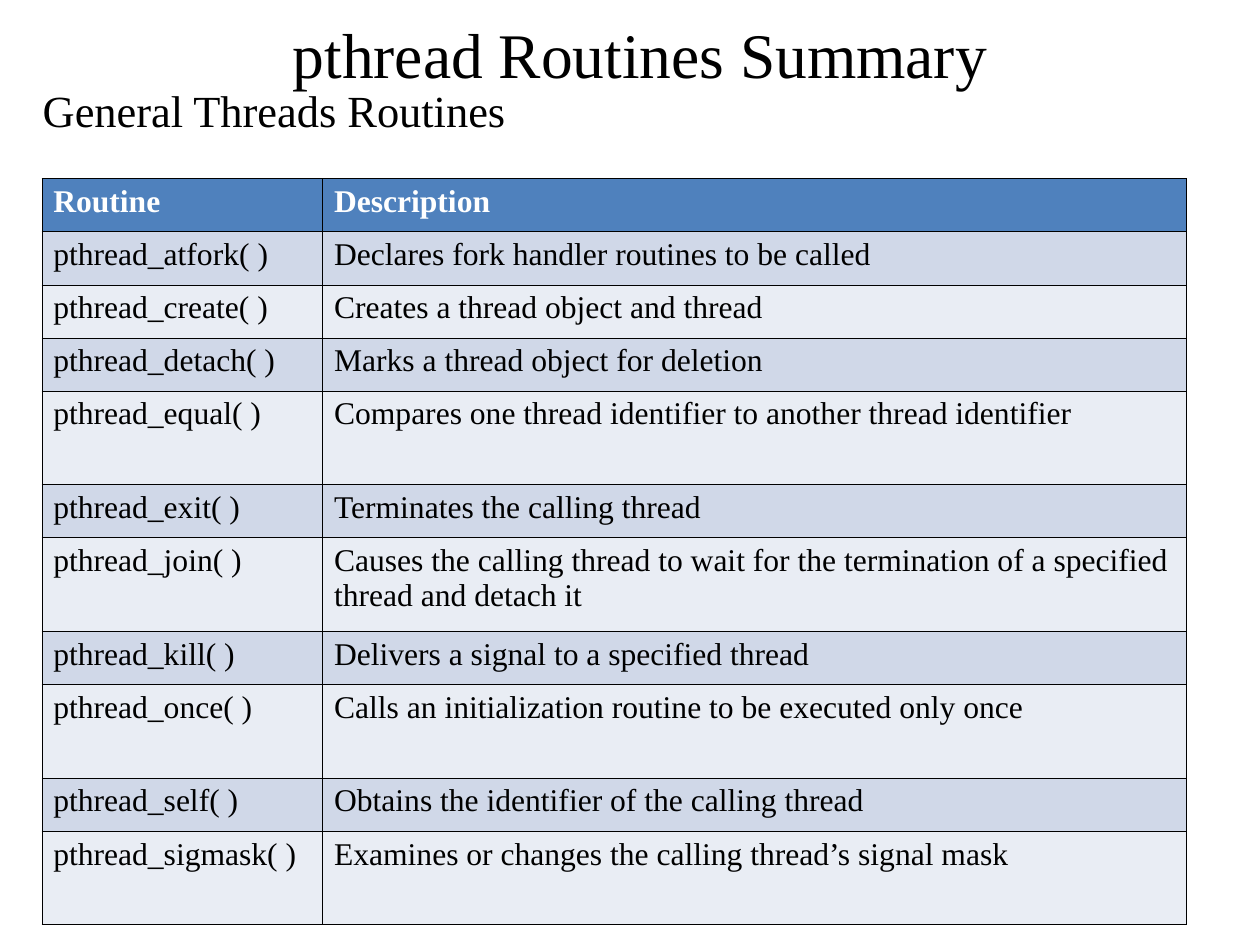
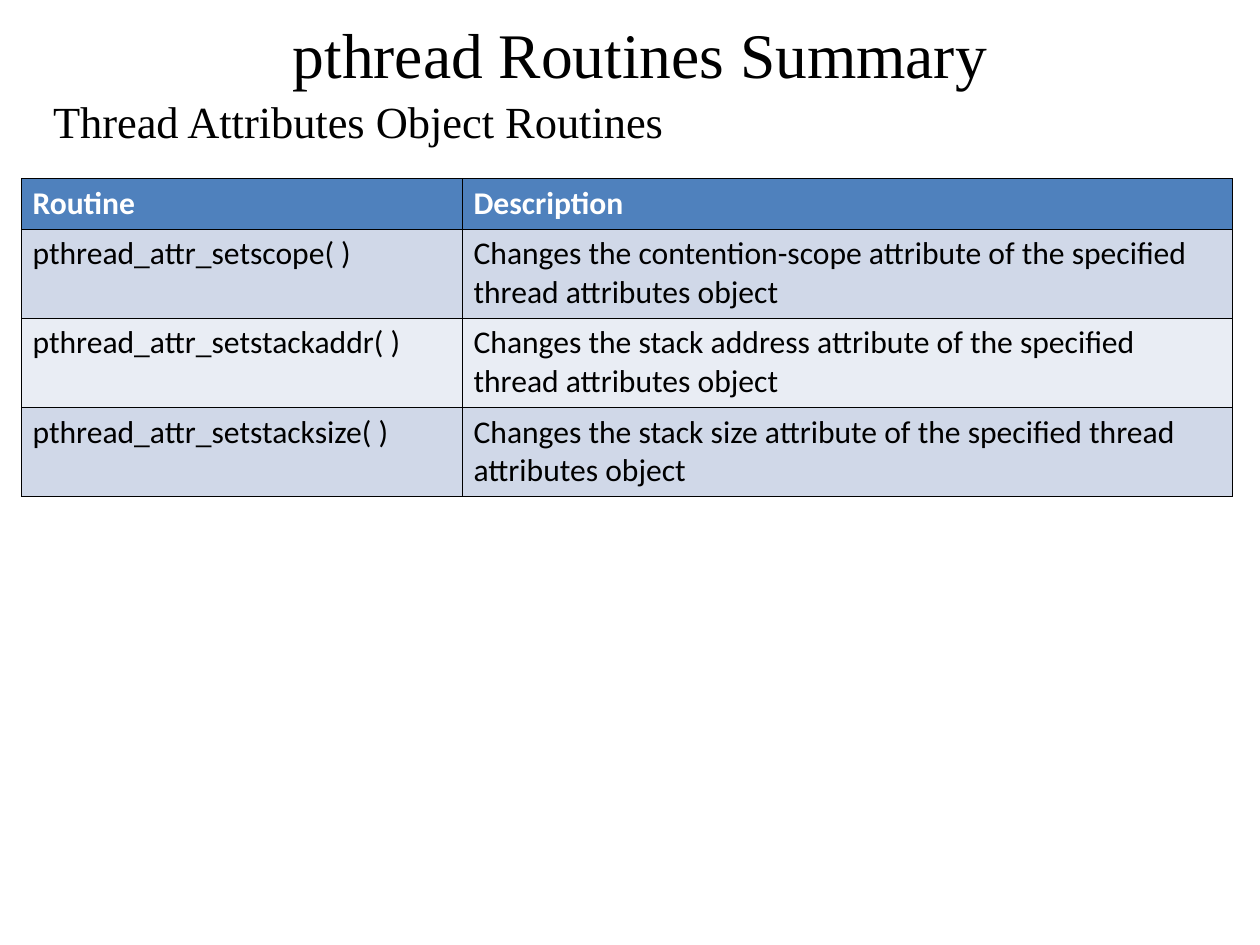
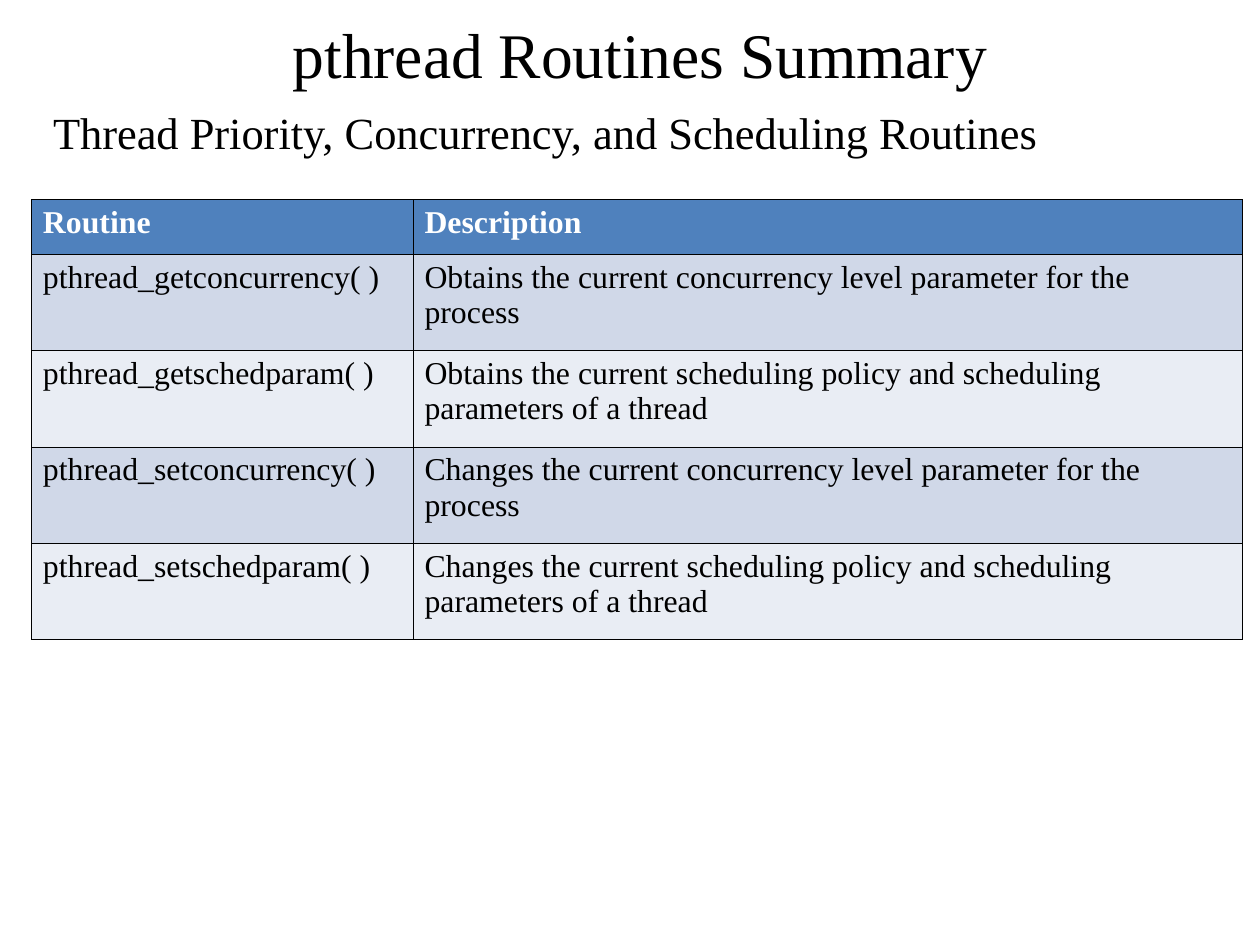
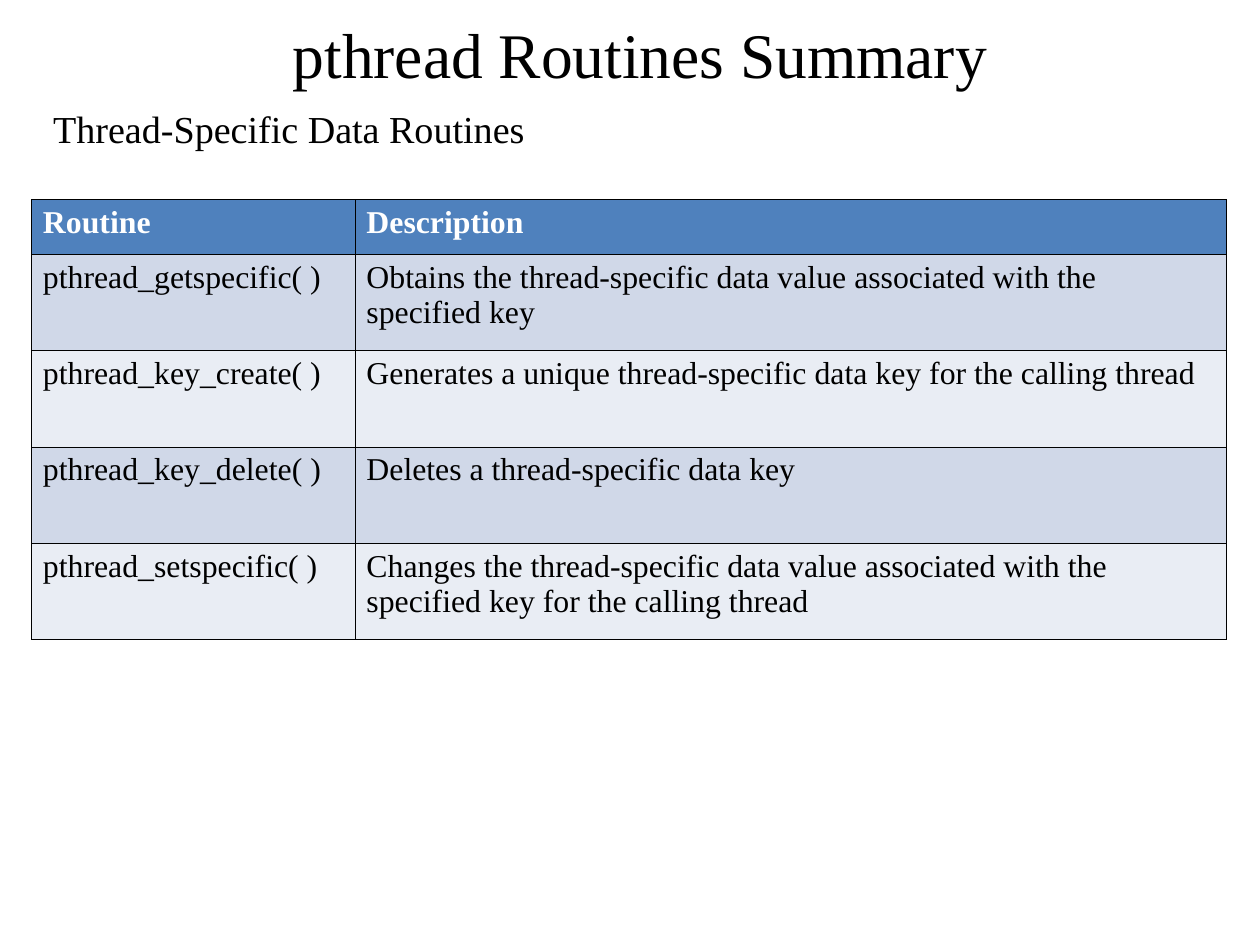
import dataclasses

import lxml.etree
import pptx
import pptx.dml.color
import pptx.enum.text
import pptx.oxml.ns
import pptx.util

Cm = pptx.util.Cm
Pt = pptx.util.Pt
qn = pptx.oxml.ns.qn


@dataclasses.dataclass(frozen=True)
class Theme:
    serif: str = "Times New Roman"
    sans: str = "Calibri"
    ink: str = "000000"
    header_ink: str = "FFFFFF"
    header_fill: str = "4F81BD"
    bands: tuple = ("D0D8E8", "E9EDF4")
    title_size: float = 40
    heading_size: float = 28
    small_heading_size: float = 24
    table_size: float = 20
    tight_table_size: float = 19.9
    border: float = 0.45


class Deck:
    def __init__(self, theme):
        self.theme = theme
        self.prs = pptx.Presentation()
        self.prs.slide_width = Cm(28)
        self.prs.slide_height = Cm(21)
        self.s = None

    def run(self, p, text, size, font=None, color=None, bold=False):
        r = p.add_run()
        r.text = text
        r.font.size = Pt(size)
        r.font.name = font or self.theme.serif
        r.font.bold = bold
        r.font.color.rgb = pptx.dml.color.RGBColor.from_string(color or self.theme.ink)

    def slide(self, title):
        self.s = self.prs.slides.add_slide(self.prs.slide_layouts[5])
        sp = self.s.shapes.title
        sp.left, sp.top, sp.width, sp.height = Cm(1.62), Cm(0), Cm(25.2), Cm(2.34)
        tf = sp.text_frame
        tf.auto_size = pptx.enum.text.MSO_AUTO_SIZE.NONE
        tf.vertical_anchor = pptx.enum.text.MSO_ANCHOR.MIDDLE
        p = tf.paragraphs[0]
        p.alignment = pptx.enum.text.PP_ALIGN.CENTER
        self.run(p, title, self.theme.title_size)

    def heading(self, text, left, top, size):
        sp = self.s.shapes.add_textbox(Cm(left), Cm(top), Cm(25.2), Cm(1.62))
        tf = sp.text_frame
        tf.word_wrap = True
        p = tf.paragraphs[0]
        p.space_before = Pt(size // 4)
        p.line_spacing = 0.9
        self.run(p, text, size)

    def borders(self, cell):
        tc_pr = cell._tc.get_or_add_tcPr()
        for i, side in enumerate(("lnL", "lnR", "lnT", "lnB")):
            ln = lxml.etree.Element(qn("a:" + side), w=str(Pt(self.theme.border)))
            fill = lxml.etree.SubElement(ln, qn("a:solidFill"))
            lxml.etree.SubElement(fill, qn("a:srgbClr"), val=self.theme.ink)
            tc_pr.insert(i, ln)

    def table(self, rows, left, top, widths, heights, size, font, short_rows):
        theme = self.theme
        rows = [("Routine", "Description")] + rows
        row_heights = [heights[0] if i == 0 or i in short_rows else heights[1]
                       for i in range(len(rows))]
        table = self.s.shapes.add_table(
            len(rows), len(widths), Cm(left), Cm(top),
            Cm(sum(widths)), Cm(sum(row_heights))).table
        table.horz_banding = False
        for column, width in zip(table.columns, widths):
            column.width = Cm(width)
        for i, texts in enumerate(rows):
            table.rows[i].height = Cm(row_heights[i])
            header = i == 0
            fill = theme.header_fill if header else theme.bands[(i - 1) % 2]
            color = theme.header_ink if header else theme.ink
            for j, text in enumerate(texts):
                cell = table.cell(i, j)
                cell.fill.solid()
                cell.fill.fore_color.rgb = pptx.dml.color.RGBColor.from_string(fill)
                self.borders(cell)
                self.run(cell.text_frame.paragraphs[0], text, size, font, color, header)


GENERAL = [
    ("pthread_atfork( )", "Declares fork handler routines to be called"),
    ("pthread_create( )", "Creates a thread object and thread"),
    ("pthread_detach( )", "Marks a thread object for deletion"),
    ("pthread_equal( )", "Compares one thread identifier to another thread identifier"),
    ("pthread_exit( )", "Terminates the calling thread"),
    ("pthread_join( )", "Causes the calling thread to wait for the termination of a "
                        "specified thread and detach it"),
    ("pthread_kill( )", "Delivers a signal to a specified thread"),
    ("pthread_once( )", "Calls an initialization routine to be executed only once"),
    ("pthread_self( )", "Obtains the identifier of the calling thread"),
    ("pthread_sigmask( )", "Examines or changes the calling thread’s signal mask"),
]

ATTRIBUTES = [
    (f"pthread_attr_set{name}( )",
     f"Changes the {label} attribute of the specified thread attributes object")
    for name, label in (("scope", "contention-scope"),
                        ("stackaddr", "stack address"),
                        ("stacksize", "stack size"))
]

SCHEDULING = [
    (f"pthread_{verb}{name}( )", f"{action} the current {label}")
    for verb, action in (("get", "Obtains"), ("set", "Changes"))
    for name, label in (
        ("concurrency", "concurrency level parameter for the process"),
        ("schedparam", "scheduling policy and scheduling parameters of a thread"))
]

SPECIFIC = [
    ("pthread_getspecific( )",
     "Obtains the thread-specific data value associated with the specified key"),
    ("pthread_key_create( )",
     "Generates a unique thread-specific data key for the calling thread"),
    ("pthread_key_delete( )", "Deletes a thread-specific data key"),
    ("pthread_setspecific( )",
     "Changes the thread-specific data value associated with the specified key "
     "for the calling thread"),
]


def main():
    theme = Theme()
    deck = Deck(theme)
    pages = [
        (("General Threads Routines", 0.7, 1.85, theme.heading_size),
         (GENERAL, 0.93, 3.97, (6.24, 19.2), (1.18, 2.08),
          theme.tight_table_size, theme.serif, (1, 2, 3, 5, 7, 9))),
        (("Thread Attributes Object Routines", 0.93, 2.1, theme.heading_size),
         (ATTRIBUTES, 0.47, 3.97, (9.8, 17.12), (1.12, 1.98),
          theme.tight_table_size, theme.sans, ())),
        (("Thread Priority, Concurrency, and Scheduling Routines",
          0.93, 2.34, theme.heading_size),
         (SCHEDULING, 0.7, 4.43, (8.48, 18.43), (1.22, 2.14),
          theme.table_size, theme.serif, ())),
        (("Thread-Specific Data Routines", 0.93, 2.34, theme.small_heading_size),
         (SPECIFIC, 0.7, 4.43, (7.19, 19.36), (1.22, 2.14),
          theme.table_size, theme.serif, ())),
    ]
    for heading, table in pages:
        deck.slide("pthread Routines Summary")
        deck.heading(*heading)
        deck.table(*table)
    deck.prs.save("out.pptx")


if __name__ == "__main__":
    main()
